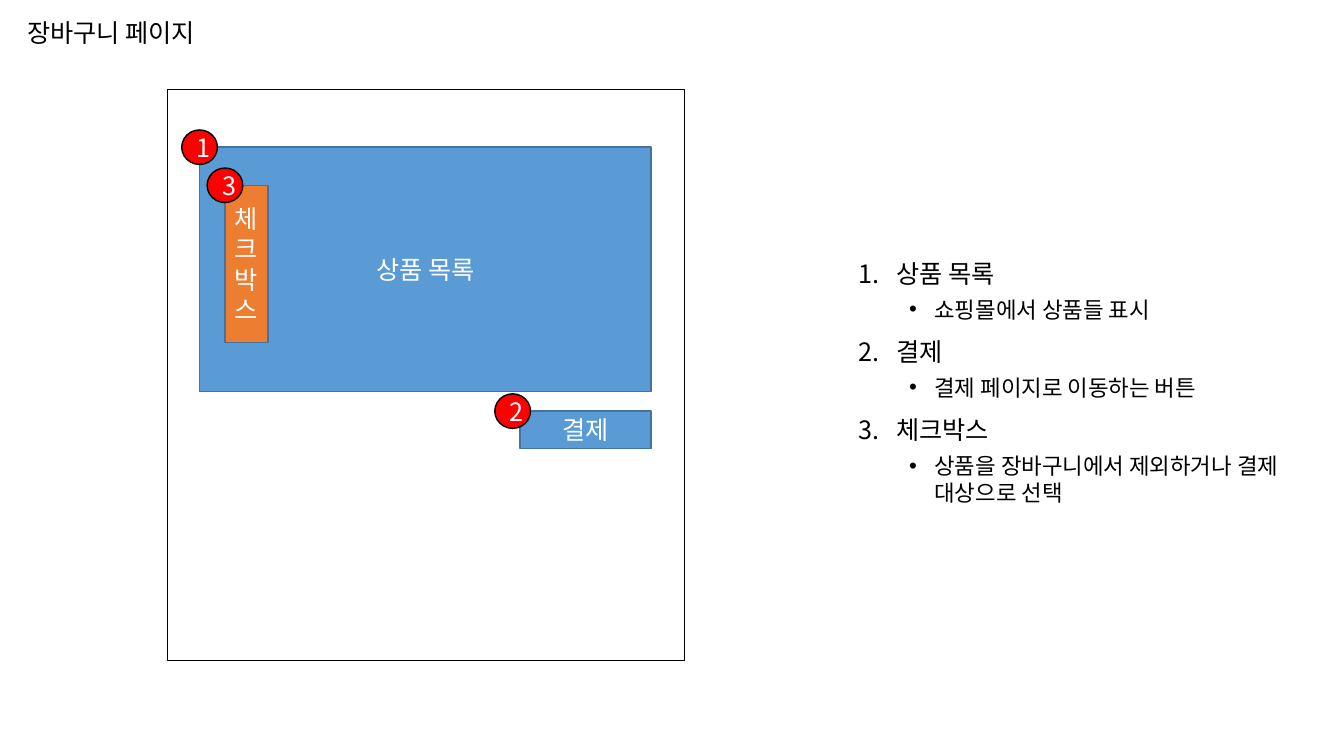
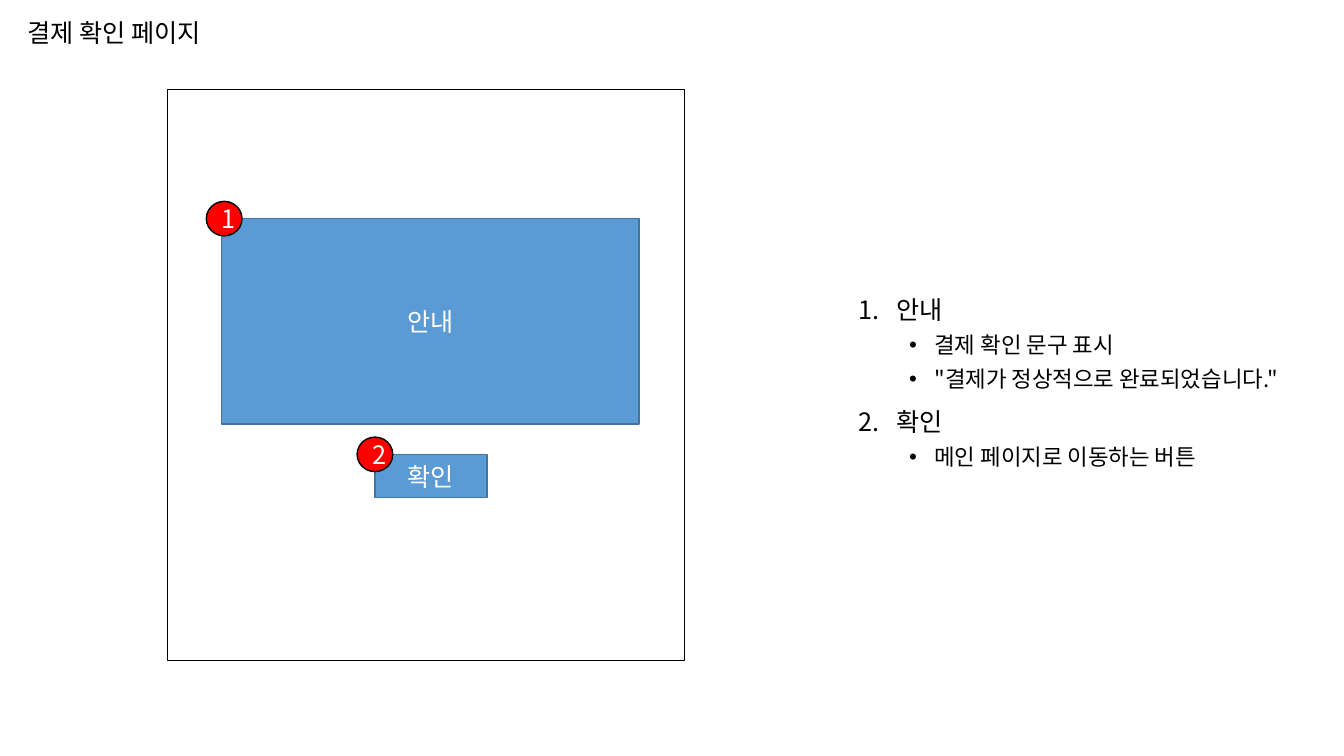
from dataclasses import dataclass

from lxml.etree import SubElement
from pptx import Presentation
from pptx.dml.color import RGBColor
from pptx.enum.shapes import MSO_SHAPE
from pptx.enum.text import MSO_ANCHOR, MSO_AUTO_SIZE, PP_ALIGN
from pptx.oxml.ns import qn
from pptx.util import Cm, Pt


@dataclass(frozen=True)
class Theme:
    font: str = "Noto Sans CJK KR"
    bullet_font: str = "Arial"
    ink: RGBColor = RGBColor(0x00, 0x00, 0x00)
    paper: RGBColor = RGBColor(0xFF, 0xFF, 0xFF)
    block: RGBColor = RGBColor(0x5B, 0x9B, 0xD5)
    block_line: RGBColor = RGBColor(0x43, 0x73, 0x9E)
    accent: RGBColor = RGBColor(0xED, 0x7D, 0x31)
    badge: RGBColor = RGBColor(0xFF, 0x00, 0x00)
    main_size: int = 18
    detail_size: int = 16
    line_width: int = 1


@dataclass(frozen=True)
class Box:
    left: float
    top: float
    width: float
    height: float

    def inside(self, parent):
        return Box(parent.left + self.left, parent.top + self.top, self.width, self.height)

    def lengths(self):
        return Cm(self.left), Cm(self.top), Cm(self.width), Cm(self.height)


@dataclass(frozen=True)
class Block:
    label: str
    box: Box
    fill: RGBColor
    badge_shift: float = 0


THEME = Theme()
TITLE_BOX = Box(0.43, 0.25, 11.35, 1.22)
MOCKUP_BOX = Box(4.22, 2.26, 13.03, 14.38)
NOTES_BOX = Box(21.39, 1.3, 11.1, 16.66)
BADGE_WIDTH, BADGE_HEIGHT = 0.9, 0.87

PAGES = [
    (
        "장바구니 페이지",
        [
            Block("상품 목록", Box(0.81, 1.45, 11.38, 6.15), THEME.block),
            Block("결제", Box(8.89, 8.1, 3.3, 0.94), THEME.block, -0.19),
            Block("체크박스", Box(1.45, 2.41, 1.09, 3.96), THEME.accent),
        ],
        [
            ("상품 목록", ["쇼핑몰에서 상품들 표시"]),
            ("결제", ["결제 페이지로 이동하는 버튼"]),
            ("체크박스", ["상품을 장바구니에서 제외하거나 결제 대상으로 선택"]),
        ],
    ),
    (
        "결제 확인 페이지",
        [
            Block("안내", Box(1.37, 3.25, 10.52, 5.18), THEME.block, 0.06),
            Block("확인", Box(5.23, 9.19, 2.82, 1.09), THEME.block),
        ],
        [
            ("안내", ["결제 확인 문구 표시", '"결제가 정상적으로 완료되었습니다."']),
            ("확인", ["메인 페이지로 이동하는 버튼"]),
        ],
    ),
]


def write_text(paragraph, text, size=THEME.main_size, color=THEME.ink,
               alignment=PP_ALIGN.LEFT, line_spacing=1.0, space_before=0):
    paragraph.alignment = alignment
    paragraph.line_spacing = line_spacing
    paragraph.space_before = Pt(space_before)
    run = paragraph.add_run()
    run.text = text
    run.font.size = Pt(size)
    run.font.color.rgb = color
    run.font.name = THEME.font
    SubElement(run.font._element, qn("a:ea"), typeface=THEME.font)


def add_marker(paragraph, margin, hanging, tag, **attributes):
    properties = paragraph._p.get_or_add_pPr()
    properties.set("marL", str(Cm(margin)))
    properties.set("indent", str(-Cm(hanging)))
    if tag == "a:buChar":
        SubElement(properties, qn("a:buFont"), typeface=THEME.bullet_font)
    SubElement(properties, qn(tag), **attributes)


def add_figure(slide, kind, box, fill=None, line=THEME.ink, label=None):
    shape = slide.shapes.add_shape(kind, *box.lengths())
    shape.shadow.inherit = False
    shape.line.color.rgb = line
    shape.line.width = Pt(THEME.line_width)
    if fill is None:
        shape.fill.background()
    else:
        shape.fill.solid()
        shape.fill.fore_color.rgb = fill
    if label:
        frame = shape.text_frame
        frame.word_wrap = True
        frame.vertical_anchor = MSO_ANCHOR.MIDDLE
        write_text(frame.paragraphs[0], label, color=THEME.paper, alignment=PP_ALIGN.CENTER)


def place_title(slide, text, box):
    title = slide.shapes.title
    title.left, title.top, title.width, title.height = box.lengths()
    frame = title.text_frame
    frame.word_wrap = True
    frame.auto_size = MSO_AUTO_SIZE.NONE
    frame.vertical_anchor = MSO_ANCHOR.MIDDLE
    write_text(frame.paragraphs[0], text, line_spacing=0.9)


def place_mockup(slide, blocks, box):
    add_figure(slide, MSO_SHAPE.RECTANGLE, box)
    for block in blocks:
        add_figure(slide, MSO_SHAPE.RECTANGLE, block.box.inside(box),
                   block.fill, THEME.block_line, block.label)
    for number, block in enumerate(blocks, start=1):
        corner = block.box.inside(box)
        badge_box = Box(corner.left - BADGE_WIDTH / 2 + block.badge_shift,
                        corner.top - BADGE_HEIGHT / 2, BADGE_WIDTH, BADGE_HEIGHT)
        add_figure(slide, MSO_SHAPE.OVAL, badge_box, THEME.badge, label=str(number))


def place_notes(slide, notes, box):
    frame = slide.shapes.add_textbox(*box.lengths()).text_frame
    frame.word_wrap = True
    frame.vertical_anchor = MSO_ANCHOR.MIDDLE
    for number, (heading, details) in enumerate(notes, start=1):
        paragraph = frame.paragraphs[0] if number == 1 else frame.add_paragraph()
        write_text(paragraph, heading, space_before=10)
        add_marker(paragraph, 0.95, 0.95, "a:buAutoNum", type="arabicPeriod")
        for detail in details:
            paragraph = frame.add_paragraph()
            paragraph.level = 1
            write_text(paragraph, detail, size=THEME.detail_size, space_before=5)
            add_marker(paragraph, 1.91, 0.64, "a:buChar", char="•")


def add_page(presentation, title, blocks, notes):
    layout = presentation.slide_layouts.get_by_name("Title Only")
    slide = presentation.slides.add_slide(layout)
    place_title(slide, title, TITLE_BOX)
    place_mockup(slide, blocks, MOCKUP_BOX)
    place_notes(slide, notes, NOTES_BOX)


def main():
    presentation = Presentation()
    presentation.slide_width = Cm(33.87)
    presentation.slide_height = Cm(19.05)
    for title, blocks, notes in PAGES:
        add_page(presentation, title, blocks, notes)
    presentation.save("out.pptx")


if __name__ == "__main__":
    main()
